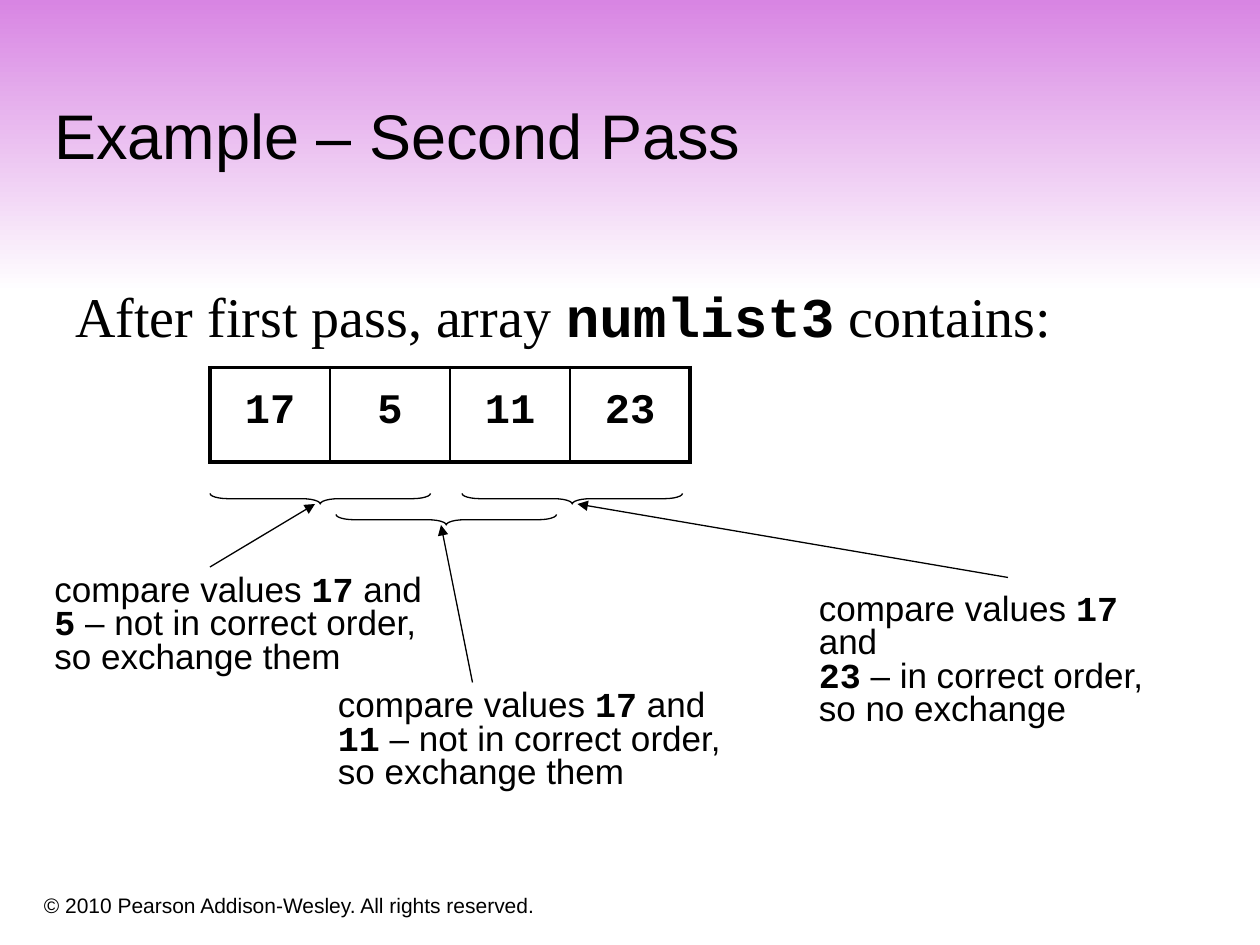
from dataclasses import dataclass

from lxml.etree import SubElement
from pptx import Presentation
from pptx.dml.color import RGBColor
from pptx.enum.shapes import MSO_CONNECTOR as Connector, MSO_SHAPE as Shape
from pptx.enum.text import MSO_ANCHOR as Anchor, PP_ALIGN as Align
from pptx.oxml.ns import qn
from pptx.util import Inches, Pt


@dataclass(frozen=True)
class Theme:
    ink: RGBColor = RGBColor(0, 0, 0)
    paper: RGBColor = RGBColor(255, 255, 255)
    orchid: RGBColor = RGBColor(0xD8, 0x85, 0xE3)
    sans: str = "Arial"
    serif: str = "Times New Roman"
    code: str = "Courier New"
    title: int = 36
    body: int = 32
    value: int = 24
    note: int = 20
    footer: int = 12
    thin: float = 0.75
    inner: float = 1
    frame: float = 2.25


THEME = Theme()
WIDTH, HEIGHT = Inches(10), Inches(7.5)
COLUMNS, ROWS = 120, 90

BAND = (0, 0, 120, 27.9)
TEXTS = [
    ((3, 83, 73, 5), [["© 2010 Pearson Addison-Wesley. All rights reserved."]],
     THEME.sans, THEME.footer, Anchor.BOTTOM, 1),
    ((4, 4, 113, 13), [["Example – Second Pass"]],
     THEME.sans, THEME.title, Anchor.BOTTOM, 1),
    ((6, 26.2, 109, 49), [["After first pass, array ", "numlist3", " contains:"]],
     THEME.serif, THEME.body, Anchor.TOP, 1),
]
VALUES = ["17", "5", "11", "23"]
TABLE = (20, 35, 45.72, 9)
BRACE_LENGTH, BRACE_DEPTH = 21, 1
COMPARISONS = [
    {"pair": ("17", "5"), "verdict": " – not in correct order,", "action": "so exchange them",
     "box": (4, 54.2, 38.3, 10.8), "brace": (30.5, 47.5), "arrow": (20, 54, 30, 48)},
    {"pair": ("17", "11"), "verdict": " – not in correct order,", "action": "so exchange them",
     "box": (31, 65.2, 40, 10.8), "brace": (42.5, 49.5), "arrow": (45, 65, 42, 50)},
    {"pair": ("17", "23"), "verdict": " – in correct order,", "action": "so no exchange",
     "box": (76.8, 56, 36.6, 10.8), "brace": (54.5, 47.5), "arrow": (96, 55, 55, 48)},
]


def place(box):
    return [round(part * size / count) for part, (size, count)
            in zip(box, [(WIDTH, COLUMNS), (HEIGHT, ROWS)] * 2)]


def style(font, name, size, bold=False):
    font.name, font.size, font.bold = name, Pt(size), bold
    font.color.rgb = THEME.ink


def add_text(slide, box, lines, name, size, anchor, spacing):
    frame = slide.shapes.add_textbox(*place(box)).text_frame
    frame.word_wrap = True
    frame.vertical_anchor = anchor
    for number, pieces in enumerate(lines):
        paragraph = frame.add_paragraph() if number else frame.paragraphs[0]
        paragraph.line_spacing = spacing
        for position, piece in enumerate(pieces):
            if piece:
                run = paragraph.add_run()
                run.text = piece
                is_code = position % 2 == 1
                style(run.font, THEME.code if is_code else name, size, is_code)


def add_band(slide):
    band = slide.shapes.add_shape(Shape.RECTANGLE, *place(BAND))
    band.shadow.inherit = False
    band.line.fill.background()
    band.fill.gradient()
    band.fill.gradient_angle = 270
    for stop, color in zip(band.fill.gradient_stops, (THEME.orchid, THEME.paper)):
        stop.color.rgb = color


def set_border(cell, side, width):
    border = SubElement(cell._tc.get_or_add_tcPr(), qn(f"a:ln{side}"), w=str(Pt(width)))
    fill = SubElement(border, qn("a:solidFill"))
    SubElement(fill, qn("a:srgbClr"), val=str(THEME.ink))


def add_array(slide):
    table = slide.shapes.add_table(1, len(VALUES), *place(TABLE)).table
    table.first_row = table.horz_banding = False
    last = len(VALUES) - 1
    for index, value in enumerate(VALUES):
        cell = table.cell(0, index)
        widths = {"L": THEME.inner if index else THEME.frame,
                  "R": THEME.inner if index < last else THEME.frame,
                  "T": THEME.frame, "B": THEME.frame}
        for side, width in widths.items():
            set_border(cell, side, width)
        cell.fill.background()
        cell.text_frame.text = value
        paragraph = cell.text_frame.paragraphs[0]
        paragraph.alignment = Align.CENTER
        paragraph.line_spacing = 1.3
        style(paragraph.runs[0].font, THEME.code, THEME.value, True)


def add_brace(slide, center):
    x, y = center
    box = (x - BRACE_DEPTH / 2, y - BRACE_LENGTH / 2, BRACE_DEPTH, BRACE_LENGTH)
    brace = slide.shapes.add_shape(Shape.RIGHT_BRACE, *place(box))
    brace.rotation = 90
    brace.adjustments[0] = 1.75
    brace.shadow.inherit = False
    brace.fill.background()
    brace.line.color.rgb = THEME.ink
    brace.line.width = Pt(THEME.thin)


def add_arrow(slide, ends):
    arrow = slide.shapes.add_connector(Connector.STRAIGHT, *place(ends))
    arrow.line.color.rgb = THEME.ink
    arrow.line.width = Pt(THEME.thin)
    SubElement(arrow.line._get_or_add_ln(), qn("a:tailEnd"), type="triangle")
    SubElement(arrow._element.spPr, qn("a:effectLst"))


def main():
    presentation = Presentation()
    presentation.slide_width, presentation.slide_height = WIDTH, HEIGHT
    slide = presentation.slides.add_slide(presentation.slide_layouts[6])
    add_band(slide)
    for text in TEXTS:
        add_text(slide, *text)
    add_array(slide)
    for comparison in COMPARISONS:
        first, second = comparison["pair"]
        lines = [["compare values ", first, " and"],
                 ["", second, comparison["verdict"]],
                 [comparison["action"]]]
        add_text(slide, comparison["box"], lines, THEME.sans, THEME.note, Anchor.TOP, 0.8)
        add_brace(slide, comparison["brace"])
        add_arrow(slide, comparison["arrow"])
    presentation.save("out.pptx")


if __name__ == "__main__":
    main()
